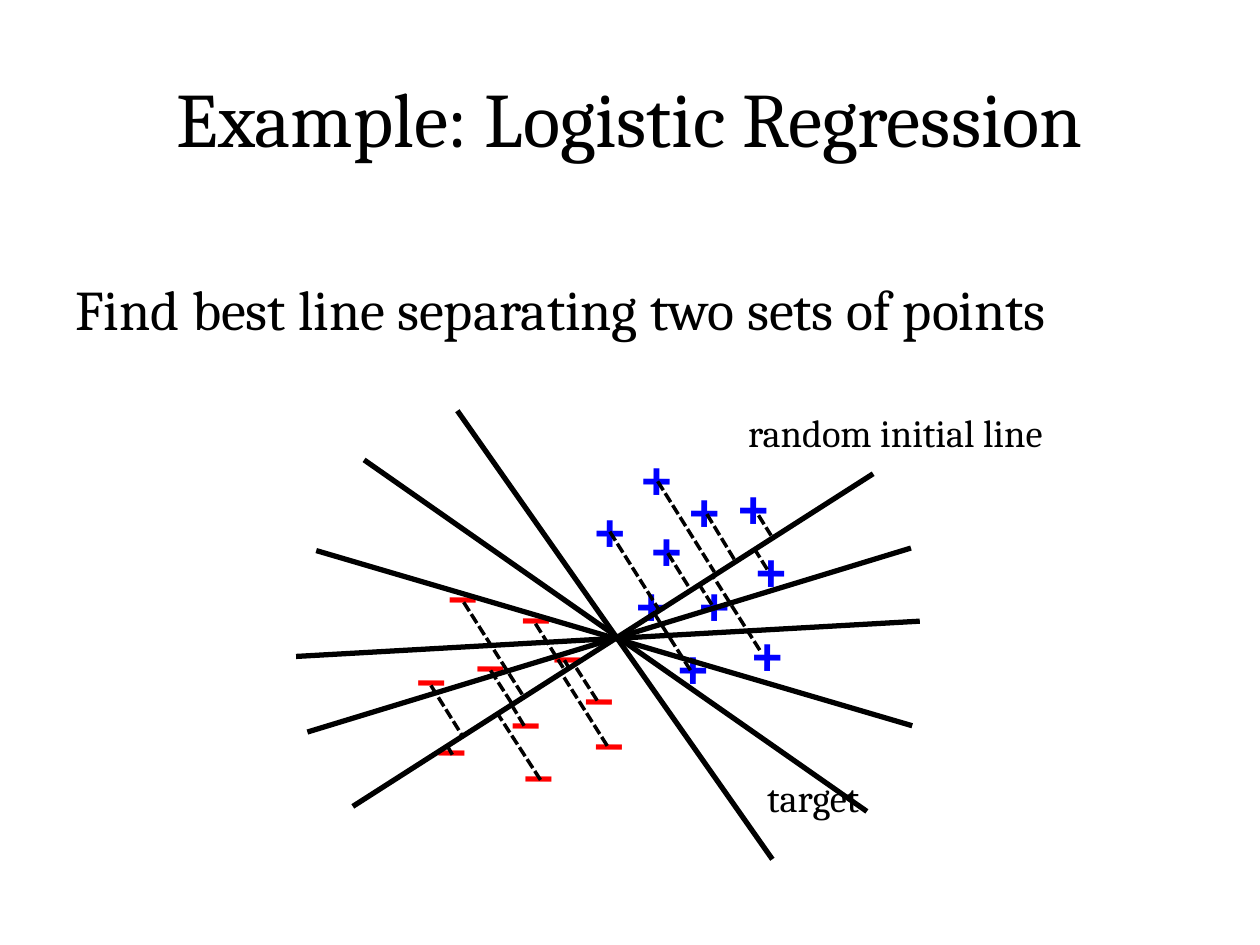
import pptx
import pptx.util
import pptx.dml.color
import pptx.enum.dml
import pptx.enum.shapes
import pptx.enum.text
import pptx.oxml.ns
import lxml.etree

Inches = pptx.util.Inches
Pt = pptx.util.Pt
Align = pptx.enum.text.PP_ALIGN
Fit = pptx.enum.text.MSO_AUTO_SIZE

theme = {
    "serif": "Cambria", "sans": "Arial",
    "black": "000000", "blue": "0000FF", "red": "FF0000",
    "title": 44, "body": 32, "mark": 30, "label": 22,
    "solid": 3, "dash": 2,
}


def write(shape, text, size, color="black", font="serif", bold=False, align=Align.LEFT):
    """Put one formatted run into the first paragraph of a shape."""
    para = shape.text_frame.paragraphs[0]
    para.alignment = align
    run = para.add_run()
    run.text = text
    run.font.name = theme[font]
    run.font.size = Pt(theme[size])
    run.font.bold = bold
    run.font.color.rgb = pptx.dml.color.RGBColor.from_string(theme[color])
    return para


def draw(shapes, ends, width):
    """Draw a straight black line without a shadow."""
    line = shapes.add_connector(
        pptx.enum.shapes.MSO_CONNECTOR.STRAIGHT, *[Inches(n) for n in ends])
    line.line.width = Pt(theme[width])
    line.line.color.rgb = pptx.dml.color.RGBColor.from_string(theme["black"])
    lxml.etree.SubElement(line._element.spPr, pptx.oxml.ns.qn("a:effectLst"))
    return line


deck = pptx.Presentation()
deck.slide_width, deck.slide_height = Inches(10), Inches(7.5)
slide = deck.slides.add_slide(deck.slide_layouts[5])
shapes = slide.shapes

# Title
title = shapes.title
title.left, title.top = Inches(0.5), Inches(0.3)
title.width, title.height = Inches(9), Inches(1.25)
title.text_frame.auto_size = Fit.NONE
title.text_frame.vertical_anchor = pptx.enum.text.MSO_ANCHOR.MIDDLE
write(title, "Example: Logistic Regression", "title", align=Align.CENTER)

# Task
task = shapes.add_textbox(Inches(0.5), Inches(2.13), Inches(9), Inches(1.03))
task.text_frame.word_wrap = True
para = write(task, "Find best line separating two sets of points", "body")
para.space_before = Pt(8)

# Two sets of points: sign, colour, box width, top left corners
sets = [
    ("+", "blue", 0.44, [
        (5.07, 4.06), (4.95, 4.5), (5.9, 4.23), (5.45, 4.5), (5.37, 3.75),
        (5.87, 4.9), (4.62, 3.91), (4.99, 3.5), (5.76, 3.73), (5.28, 5)]),
    ("–", "red", 0.43, [
        (3.96, 5.41), (3.68, 4.96), (4.29, 4.89), (4.04, 4.58), (3.37, 5.63),
        (3.46, 4.41), (4.54, 5.22), (4.06, 5.83), (4.62, 5.58), (3.21, 5.07)]),
]
for sign, color, width, spots in sets:
    for left, top in spots:
        mark = shapes.add_textbox(Inches(left), Inches(top), Inches(width), Inches(0.6))
        mark.rotation = 0.3
        mark.text_frame.word_wrap = False
        mark.text_frame.auto_size = Fit.SHAPE_TO_FIT_TEXT
        write(mark, sign, "mark", color, "sans", True)

# Line labels
labels = [
    ("target", 5.99, 6.09, 0.99, Align.LEFT),
    ("random initial line", 5.75, 3.2, 2.71, Align.CENTER),
]
for text, left, top, width, align in labels:
    label = shapes.add_textbox(Inches(left), Inches(top), Inches(width), Inches(0.47))
    label.text_frame.word_wrap = False
    label.text_frame.auto_size = Fit.SHAPE_TO_FIT_TEXT
    write(label, text, "label", align=align)

# Separating lines, from the target to the random start and between
for ends in [
    (3.63, 3.26, 6.13, 6.82), (2.8, 6.4, 6.93, 3.76), (2.44, 5.81, 7.23, 4.35),
    (2.35, 5.21, 7.3, 4.93), (2.51, 4.37, 7.24, 5.76), (2.89, 3.65, 6.88, 6.44),
]:
    draw(shapes, ends, "solid")

# Dashed distances from the points to the random initial line
group = shapes.add_group_shape()
for ends in [
    (4.16, 5.76, 4.07, 5.61), (5.61, 4.08, 5.84, 4.46), (5.3, 4.39, 5.48, 4.68),
    (5.22, 3.82, 5.67, 4.54), (6.02, 4.09, 6.12, 4.25), (4.84, 4.22, 5.23, 4.84),
    (6.09, 4.52, 5.99, 4.36), (5.65, 4.8, 5.55, 4.64), (6.03, 5.16, 5.67, 4.59),
    (5.48, 5.32, 5.2, 4.88), (3.68, 4.78, 4.15, 5.52), (4.25, 4.95, 4.47, 5.3),
    (3.42, 5.44, 3.67, 5.84), (4.74, 5.56, 4.56, 5.28), (3.94, 5.65, 4.29, 6.19),
    (4.82, 5.92, 4.46, 5.35), (3.59, 5.99, 3.55, 5.92), (4.52, 5.31, 4.48, 5.24),
    (4.06, 5.58, 3.88, 5.3),
]:
    gap = draw(group.shapes, ends, "dash")
    gap.line.dash_style = pptx.enum.dml.MSO_LINE.SQUARE_DOT

deck.save("out.pptx")
